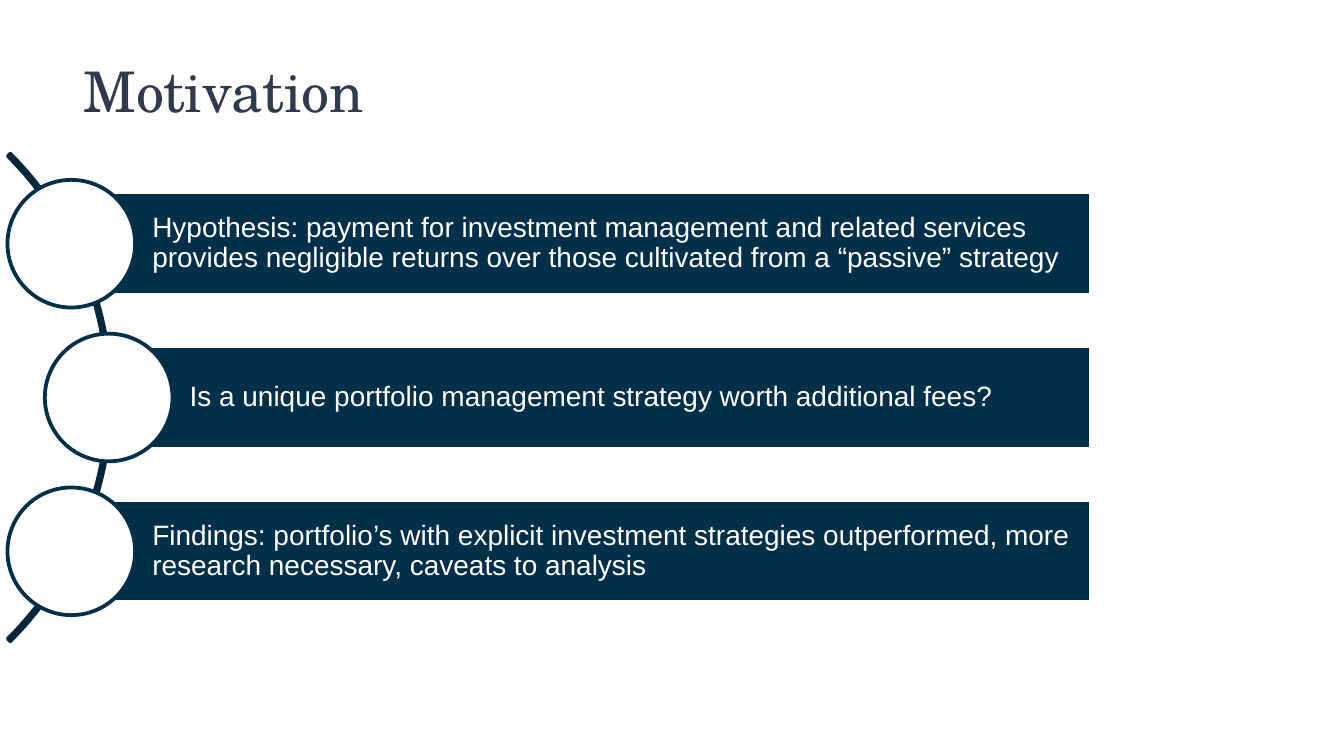
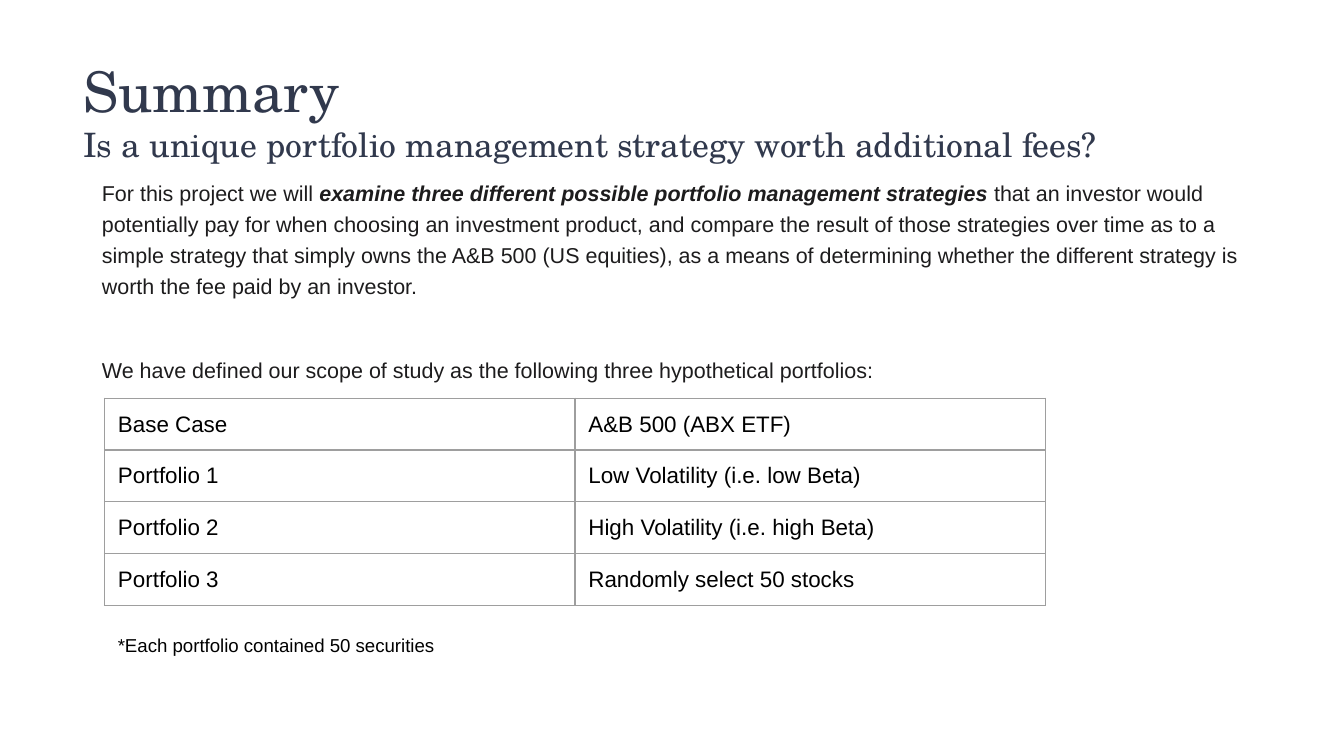
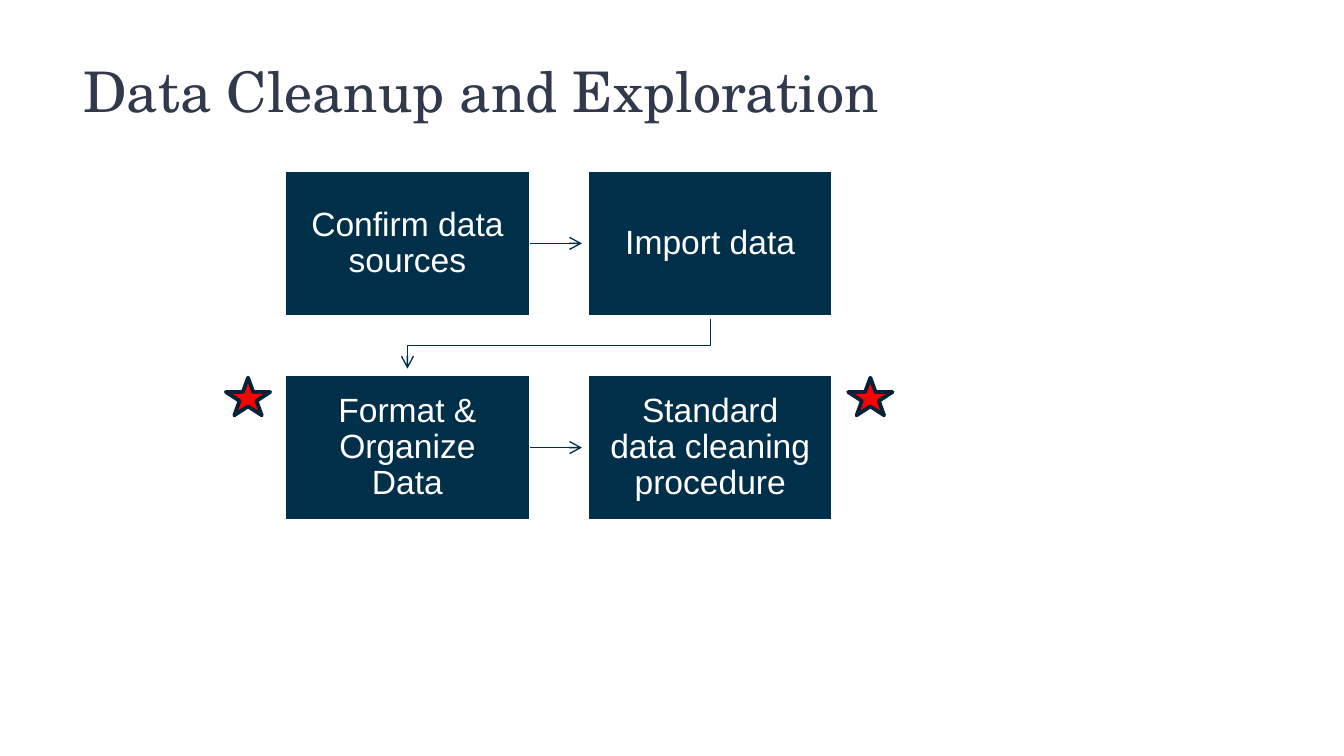
from lxml import etree
from pptx import Presentation
from pptx.dml.color import RGBColor
from pptx.enum.shapes import MSO_CONNECTOR, MSO_SHAPE
from pptx.enum.text import MSO_ANCHOR, PP_ALIGN
from pptx.oxml.ns import qn
from pptx.util import Pt

RECT, OVAL = MSO_SHAPE.RECTANGLE, MSO_SHAPE.OVAL
ARC, STAR = MSO_SHAPE.BLOCK_ARC, MSO_SHAPE.STAR_5_POINT
LINE = MSO_CONNECTOR.STRAIGHT
MIDDLE, TOP = MSO_ANCHOR.MIDDLE, MSO_ANCHOR.TOP
LEFT, CENTER = PP_ALIGN.LEFT, PP_ALIGN.CENTER

COLORS = {
    "title": "31394D", "navy": "002F4A", "arc": "00263B", "edge": "002337",
    "white": "FFFFFF", "red": "FF0000", "body": "1D1C1D", "black": "000000",
    "grid": "9E9E9E",
}
SERIF, SANS = "TeX Gyre Schola", "Arial"
QUERY = "Is a unique portfolio management strategy worth additional fees?"


def color(name):
    return RGBColor.from_string(COLORS[name])


def style(para, size, ink, face=SANS):
    para.font.size = Pt(size)
    para.font.name = face
    para.font.color.rgb = color(ink)


def inset(frame, left, top, right, bottom):
    frame.margin_left, frame.margin_top = Pt(left), Pt(top)
    frame.margin_right, frame.margin_bottom = Pt(right), Pt(bottom)


def pen(line, ink, width):
    line.color.rgb = color(ink)
    line.width = Pt(width)


def shape(slide, kind, box, fill, edge, width=2):
    item = slide.shapes.add_shape(kind, *map(Pt, box))
    item.shadow.inherit = False
    if fill:
        item.fill.solid()
        item.fill.fore_color.rgb = color(fill)
    else:
        item.fill.background()
    pen(item.line, edge, width)
    return item


def panel(slide, box, text, size, align, pads):
    item = shape(slide, RECT, box, "navy", "white")
    frame = item.text_frame
    frame.word_wrap = True
    frame.vertical_anchor = MIDDLE
    inset(frame, *pads)
    para = frame.paragraphs[0]
    para.text = text
    para.alignment = align
    para.line_spacing = 0.9
    style(para, size, "white")
    return item


def textbox(slide, box, pads):
    frame = slide.shapes.add_textbox(*map(Pt, box)).text_frame
    frame.word_wrap = True
    frame.vertical_anchor = TOP
    inset(frame, *pads)
    return frame


def heading(slide, text, sub=None):
    frame = textbox(slide, (37.6, 23, 645, 60.5), (7.2,) * 4)
    para = frame.paragraphs[0]
    para.text = text
    style(para, 30, "title", SERIF)
    if sub:
        para = frame.add_paragraph()
        para.text = sub
        style(para, 18, "title", SERIF)


def arrow(item):
    pen(item.line, "navy", 0.75)
    props = item.line._get_or_add_ln()
    etree.SubElement(props, qn("a:tailEnd"), type="arrow")


def points(slide, box, texts):
    left, top, width, height = box
    span, pitch, bar, dot = 369.4, 82.4, 54.7, 68.4
    mid = top + height / 2
    arc = shape(slide, ARC, (-309.8, mid - span / 2, span, span), None, "arc")
    for spot, value in enumerate((189, 27, 0.005)):
        arc.adjustments[spot] = value
    for row, text in enumerate(texts):
        x = left + (20 if row == 1 else 0)
        y = mid + (row - 1) * pitch
        panel(slide, (x, y - bar / 2, left + width - x, bar), text, 15, LEFT,
              (43.4, 2.9, 2.9, 2.9))
        shape(slide, OVAL, (x - dot / 2, y - dot / 2, dot, dot),
              "white", "navy")


def scope(slide, box, intro, lead):
    frame = textbox(slide, box, (7.2,) * 4)
    first, last = frame.paragraphs[0], frame.add_paragraph()
    for spot, text in enumerate(intro):
        run = first.add_run()
        run.text = text
        if spot == 1:
            run.font.bold = run.font.italic = True
    last.text = lead
    for para, gap in ((first, 6), (last, 28.5)):
        style(para, 11.5, "body")
        para.line_spacing = 1.2
        para.space_before = Pt(gap)
        para._p.get_or_add_pPr().set("marL", str(Pt(36)))


def border(cell):
    props = cell._tc.get_or_add_tcPr()
    for spot, side in enumerate(("lnL", "lnR", "lnT", "lnB")):
        line = etree.Element(qn("a:" + side), w=str(Pt(0.75)))
        fill = etree.SubElement(line, qn("a:solidFill"))
        etree.SubElement(fill, qn("a:srgbClr"), val=COLORS["grid"])
        props.insert(spot, line)


def grid(slide, box, rows):
    table = slide.shapes.add_table(len(rows), len(rows[0]),
                                   *map(Pt, box)).table
    table.first_row = table.horz_banding = False
    for r, row in enumerate(rows):
        for c, text in enumerate(row):
            cell = table.cell(r, c)
            cell.text = text
            cell.fill.background()
            inset(cell, 7.2, 7.2, 7.2, 6.1)
            style(cell.text_frame.paragraphs[0], 12, "black")
            border(cell)


def note(slide, box, text):
    para = textbox(slide, box, (7.2, 3.6, 7.2, 3.6)).paragraphs[0]
    para.text = text
    style(para, 10, "black")


def flow(slide, box, steps):
    left, top, width, height = box
    wide, high, stop = 131.8, 79, 2.8
    across, down = width - wide, height - high
    for row, pair in enumerate(steps):
        y = top + row * down
        first, _ = [panel(slide, (left + col * across, y, wide, high), text,
                          18, CENTER, (10.1,) * 4)
                    for col, text in enumerate(pair)]
        mid = Pt(y + high / 2)
        link = slide.shapes.add_connector(
            LINE, Pt(left + wide), mid, Pt(left + across - stop), mid)
        link.begin_connect(first, 3)
        etree.SubElement(link._element.spPr, qn("a:effectLst"))
        arrow(link)
    start, end = left + across + wide / 2, left + wide / 2
    turn = top + (high + down) / 2
    builder = slide.shapes.build_freeform(Pt(start), Pt(top + high + 1))
    builder.add_line_segments(
        [(Pt(start), Pt(turn)), (Pt(end), Pt(turn)),
         (Pt(end), Pt(top + down - stop))], close=False)
    bend = builder.convert_to_shape()
    bend.shadow.inherit = False
    bend.fill.background()
    arrow(bend)
    for x in (left - 31.4, left + width + 8):
        shape(slide, STAR, (x, top + down + 2, 23.8, 20.2), "red", "edge")


def motive(slide):
    heading(slide, "Motivation")
    points(slide, (38.2, 103.2, 546.4, 219.5), [
        "Hypothesis: payment for investment management and related services "
        "provides negligible returns over those cultivated from a “passive” "
        "strategy",
        QUERY,
        "Findings: portfolio’s with explicit investment strategies "
        "outperformed, more research necessary, caveats to analysis",
    ])


def summary(slide):
    heading(slide, "Summary", QUERY)
    scope(slide, (11.5, 86.4, 660.3, 241.2), [
        "For this project we will ",
        "examine three different possible portfolio management strategies",
        " that an investor would potentially pay for when choosing an "
        "investment product, and compare the result of those strategies over "
        "time as to a simple strategy that simply owns the A&B 500 (US "
        "equities), as a means of determining whether the different strategy "
        "is worth the fee paid by an investor.",
    ], "We have defined our scope of study as the following three "
       "hypothetical portfolios:")
    grid(slide, (56, 213.4, 504, 100.8), [
        ("Base Case", "A&B 500 (ABX ETF)"),
        ("Portfolio 1", "Low Volatility (i.e. low Beta)"),
        ("Portfolio 2", "High Volatility (i.e. high Beta)"),
        ("Portfolio 3", "Randomly select 50 stocks"),
    ])
    note(slide, (56, 336.2, 311, 19.4),
         "*Each portfolio contained 50 securities")


def cleanup(slide):
    heading(slide, "Data Cleanup and Exploration")
    flow(slide, (152.4, 90.9, 294, 188.4), [
        ("Confirm data sources", "Import data"),
        ("Format & Organize Data", "Standard data cleaning procedure"),
    ])


def main():
    deck = Presentation()
    deck.slide_width, deck.slide_height = Pt(720), Pt(405)
    for build in (motive, summary, cleanup):
        build(deck.slides.add_slide(deck.slide_layouts[6]))
    deck.save("out.pptx")


if __name__ == "__main__":
    main()
